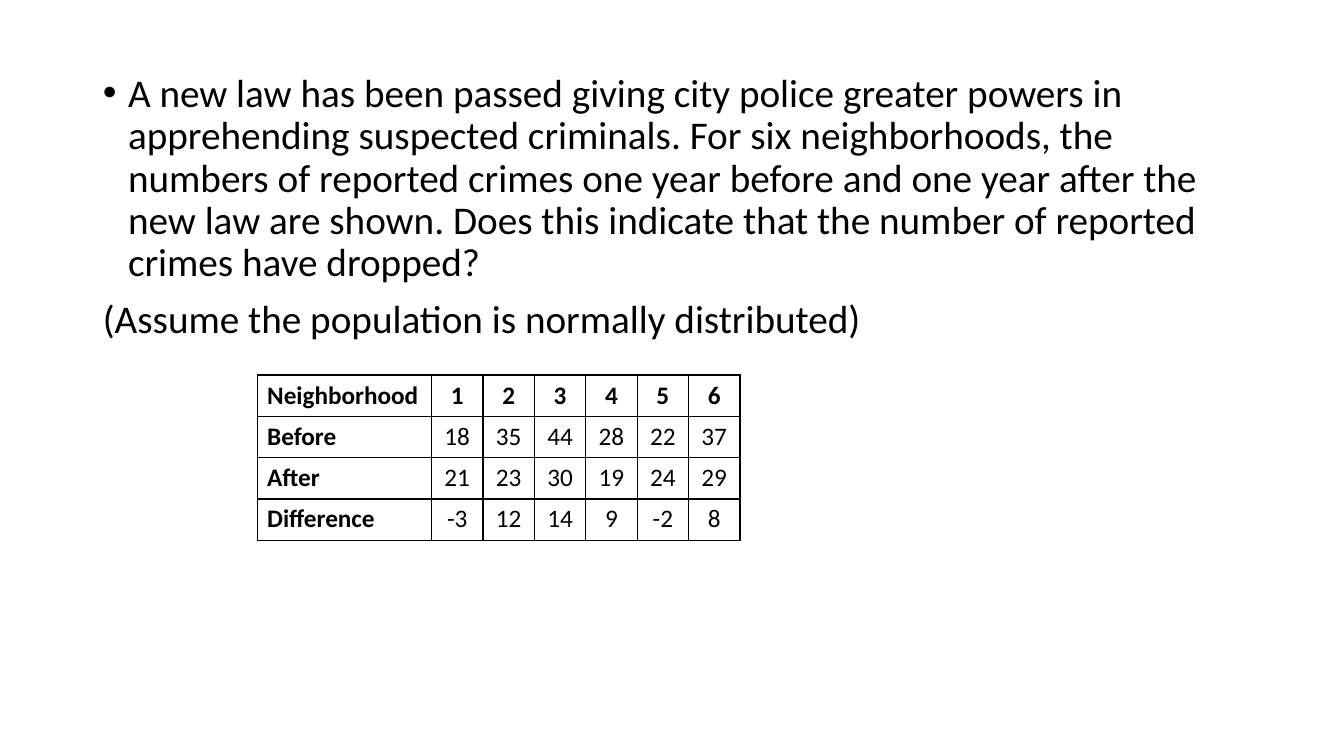
from dataclasses import dataclass

from lxml.etree import SubElement as Sub
from pptx import Presentation as Deck
from pptx.dml.color import RGBColor as RGB
from pptx.enum.text import MSO_ANCHOR as Anchor, MSO_AUTO_SIZE as Fit, PP_ALIGN as Align
from pptx.oxml.ns import qn
from pptx.util import Inches, Pt


@dataclass(frozen=True)
class Theme:
    font: str = "Calibri"
    ink: str = "000000"
    paper: str = "FFFFFF"
    body: int = 28
    cell: int = 18
    rule: int = 1


def apply(item, **vals):
    for key, val in vals.items():
        setattr(item, key, val)


class Page:
    def __init__(self, deck, theme):
        self.theme = theme
        self.slide = deck.slides.add_slide(deck.slide_layouts[1])
        title = self.slide.shapes.title.element
        title.getparent().remove(title)
        fill = self.slide.background.fill
        fill.solid()
        fill.fore_color.rgb = RGB.from_string(theme.paper)

    def text(self, para, words, size, bold=False):
        run = para.add_run()
        run.text = words
        apply(run.font, name=self.theme.font, size=Pt(size), bold=bold)
        run.font.color.rgb = RGB.from_string(self.theme.ink)

    def body(self, box, items):
        holder = self.slide.placeholders[1]
        apply(holder, **dict(zip(("left", "top", "width", "height"), map(Inches, box))))
        frame = holder.text_frame
        apply(frame, word_wrap=True, auto_size=Fit.NONE, vertical_anchor=Anchor.TOP)
        for num, (words, bullet) in enumerate(items):
            para = frame.add_paragraph() if num else frame.paragraphs[0]
            props = para._p.get_or_add_pPr()
            hang = Inches(0.25) if bullet else 0
            props.set("marL", str(hang))
            props.set("indent", str(-hang))
            if bullet:
                Sub(props, qn("a:buFont"), typeface="Arial")
                Sub(props, qn("a:buChar"), char="•")
            else:
                Sub(props, qn("a:buNone"))
            apply(para, line_spacing=0.9, space_before=Pt(10 if num else 0),
                  space_after=Pt(0), alignment=Align.LEFT)
            self.text(para, words, self.theme.body)

    def border(self, cell):
        props = cell._tc.get_or_add_tcPr()
        for side in ("lnL", "lnR", "lnT", "lnB"):
            line = Sub(props, qn(f"a:{side}"), w=str(Pt(self.theme.rule)))
            Sub(Sub(line, qn("a:solidFill")), qn("a:srgbClr"), val=self.theme.ink)

    def table(self, left, top, widths, high, rows):
        size = Inches(left), Inches(top), Inches(sum(widths)), Inches(high * len(rows))
        grid = self.slide.shapes.add_table(len(rows), len(widths), *size).table
        apply(grid, first_row=False, horz_banding=False)
        for col, wide in zip(grid.columns, widths):
            col.width = Inches(wide)
        for r, row in enumerate(rows):
            grid.rows[r].height = Inches(high)
            for c, value in enumerate(row):
                cell = grid.cell(r, c)
                self.border(cell)
                cell.fill.background()
                para = cell.text_frame.paragraphs[0]
                para.alignment = Align.CENTER if c else Align.LEFT
                self.text(para, str(value), self.theme.cell, bold=r == 0 or c == 0)


def main():
    deck = Deck()
    apply(deck, slide_width=Inches(13.33), slide_height=Inches(7.5))
    page = Page(deck, Theme())

    # Problem statement
    page.body((0.92, 0.68, 11.5, 6.08), [
        ("A new law has been passed giving city police greater powers in "
         "apprehending suspected criminals. For six neighborhoods, the numbers of "
         "reported crimes one year before and one year after the new law are shown. "
         "Does this indicate that the number of reported crimes have dropped?", True),
        ("(Assume the population is normally distributed)", False),
    ])

    # Crime counts, with the drop worked out
    before = [18, 35, 44, 28, 22, 37]
    after = [21, 23, 30, 19, 24, 29]
    drop = [b - a for b, a in zip(before, after)]
    page.table(2.55, 3.72, [1.73] + [0.51] * 6, 0.41, [
        ["Neighborhood", *range(1, 7)],
        ["Before", *before],
        ["After", *after],
        ["Difference", *drop],
    ])

    deck.save("out.pptx")


if __name__ == "__main__":
    main()
